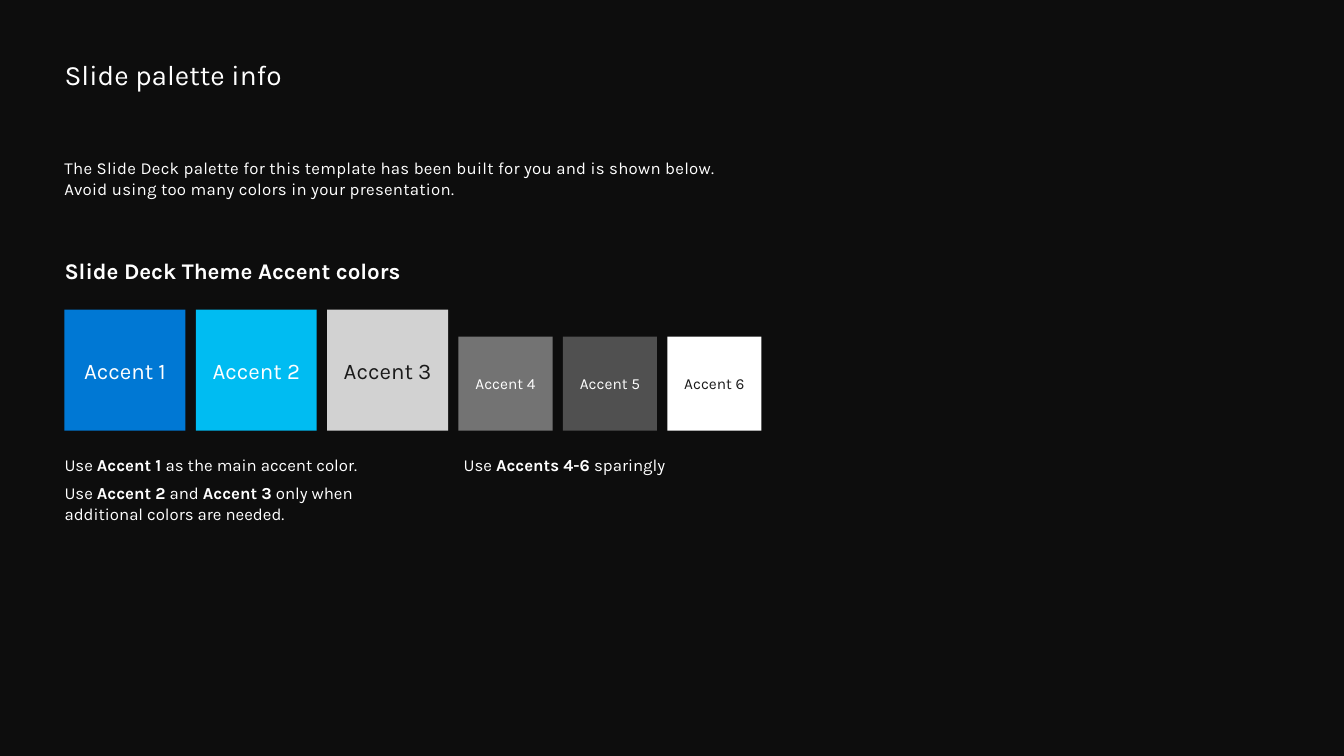
from pptx import Presentation
from pptx.dml.color import RGBColor
from pptx.enum.shapes import MSO_SHAPE
from pptx.enum.text import MSO_ANCHOR, PP_ALIGN
from pptx.util import Pt

# Content
FONT, WHITE, INK, BACKGROUND = "Karla", "FFFFFF", "1A1A1A", "0D0D0D"
TITLE = "Slide palette info"
INTRO = [
    [("The Slide Deck palette for this template has been built for you and is shown below.", False)],
    [("Avoid using too many colors in your presentation.", False)],
]
HEADING = [[("Slide Deck Theme Accent colors", True)]]
MAIN_ADVICE = [
    [("Use ", False), ("Accent 1 ", True), ("as the main accent color.", False)],
    [("Use ", False), ("Accent 2", True), (" and ", False), ("Accent 3", True),
     (" only when \nadditional colors are needed.", False)],
]
SPARING_ADVICE = [[("Use ", False), ("Accents 4-6 ", True), ("sparingly", False)]]
LARGE, SMALL = (86.4, 16), (67.2, 11)  # swatch side, label size
SWATCHES = [
    ("Accent 1", "0078D4", WHITE, LARGE),
    ("Accent 2", "00BCF2", WHITE, LARGE),
    ("Accent 3", "D2D2D2", INK, LARGE),
    ("Accent 4", "737373", WHITE, SMALL),
    ("Accent 5", "505050", WHITE, SMALL),
    ("Accent 6", "FFFFFF", INK, SMALL),
]

# Layout
MARGIN, GAP, SWATCH_BOTTOM, ADVICE_TOP = 46.1, 7.4, 307.6, 324.7


def rgb(color):
    return RGBColor.from_string(color)


def style(font, size, color):
    font.name, font.size = FONT, Pt(size)
    font.color.rgb = rgb(color)


def set_insets(frame, top=0, bottom=0):
    frame.margin_left = frame.margin_right = 0
    frame.margin_top, frame.margin_bottom = Pt(top), Pt(bottom)
    frame.word_wrap = True


def add_text(left, top, width, height, paragraphs, size, before=0, tracking=0):
    box = slide.shapes.add_textbox(Pt(left), Pt(top), Pt(width), Pt(height))
    frame = box.text_frame
    set_insets(frame)
    for index, pieces in enumerate(paragraphs):
        paragraph = frame.add_paragraph() if index else frame.paragraphs[0]
        paragraph.space_before = Pt(before)
        style(paragraph.font, size, WHITE)
        for words, bold in pieces:
            for row, line in enumerate(words.split("\n")):
                if row:
                    paragraph.add_line_break()
                run = paragraph.add_run()
                run.text, run.font.bold = line, bold
                if tracking:
                    run.font._element.set("spc", str(round(tracking * 100)))


prs = Presentation()
prs.slide_width, prs.slide_height = Pt(960), Pt(540)
slide = prs.slides.add_slide(prs.slide_layouts[5])
slide.background.fill.solid()
slide.background.fill.fore_color.rgb = rgb(BACKGROUND)

# Title
title = slide.shapes.title
title.left, title.top, title.width, title.height = Pt(MARGIN), Pt(36), Pt(433.4), Pt(29.5)
title.text = TITLE
set_insets(title.text_frame, top=5)
title.text_frame.vertical_anchor = MSO_ANCHOR.TOP
heading = title.text_frame.paragraphs[0]
heading.alignment = PP_ALIGN.LEFT
style(heading.font, 20, WHITE)

# Introduction and heading
add_text(MARGIN, 113, 784, 28.8, INTRO, 12, tracking=0.2)
add_text(MARGIN, 183.6, 495.4, 19.4, HEADING, 16)

# Swatches, aligned at the bottom with equal gaps
left = MARGIN
for label, fill, ink, (side, size) in SWATCHES:
    swatch = slide.shapes.add_shape(
        MSO_SHAPE.RECTANGLE, Pt(left), Pt(SWATCH_BOTTOM - side), Pt(side), Pt(side))
    swatch.shadow.inherit = False
    swatch.fill.solid()
    swatch.fill.fore_color.rgb = rgb(fill)
    swatch.line.fill.background()
    frame = swatch.text_frame
    set_insets(frame, 3.6, 3.6)
    frame.vertical_anchor = MSO_ANCHOR.MIDDLE
    frame.text = label
    frame.paragraphs[0].alignment = PP_ALIGN.CENTER
    style(frame.paragraphs[0].font, size, ink)
    left += side + GAP

# Advice under the swatches
add_text(MARGIN, ADVICE_TOP, 274.3, 49.7, MAIN_ADVICE, 12, before=6)
add_text(331.2, ADVICE_TOP, 218.9, 14.4, SPARING_ADVICE, 12, before=6)

prs.save("out.pptx")
